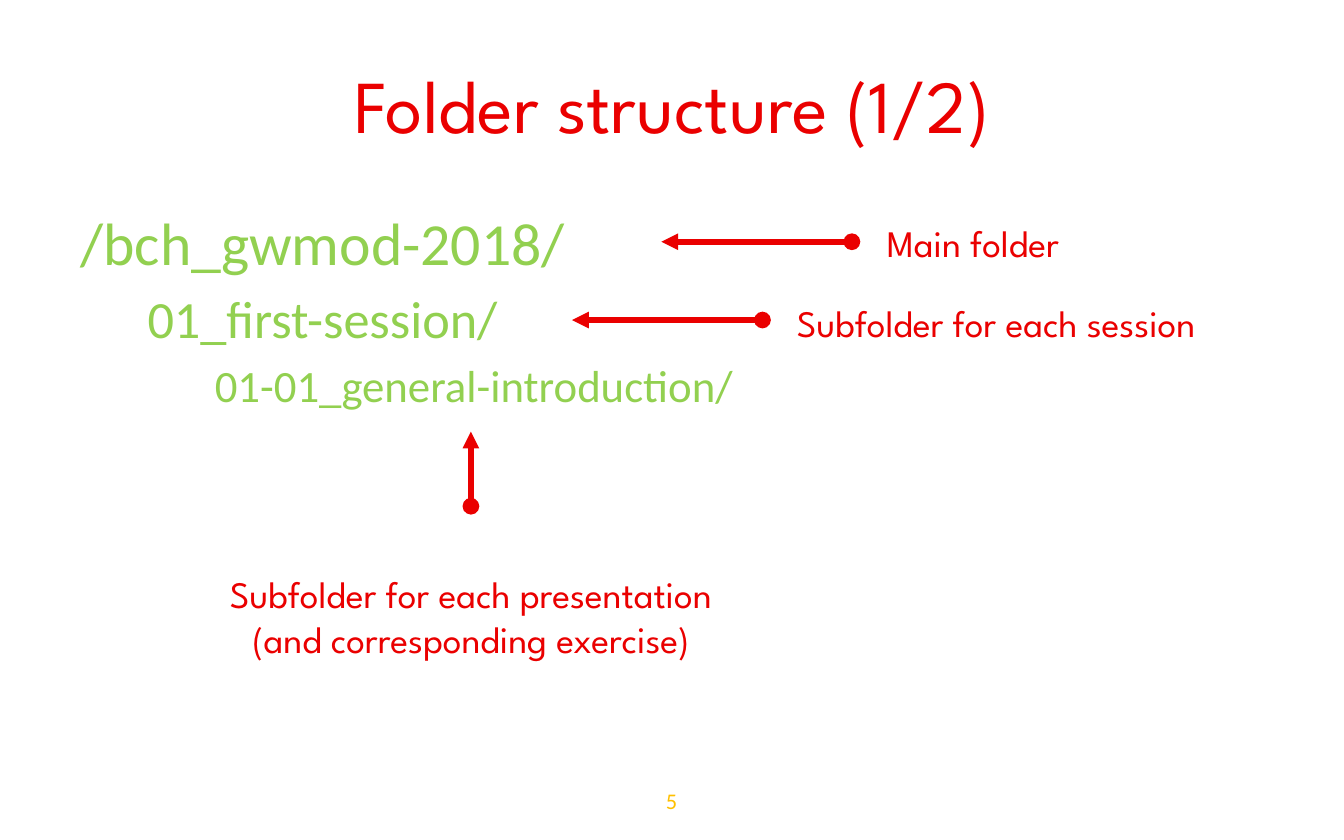
from lxml import etree
from pptx import Presentation, util as u
from pptx.dml.color import RGBColor
from pptx.enum import shapes, text
from pptx.oxml.ns import qn

COLORS = {"red": "EA0000", "green": "92D050", "yellow": "FFC000"}
HEADING_FONT = "League Spartan"
BODY_FONT = "Calibri"
INDENT = 1.27

presentation = Presentation()
presentation.slide_width = u.Cm(25.4)
presentation.slide_height = u.Cm(15.88)
slide = presentation.slides.add_slide(presentation.slide_layouts[6])


def write(frame, content, size, color="red", font=HEADING_FONT, align="LEFT", level=0, before=0):
    paragraph = frame.paragraphs[0] if not frame.text else frame.add_paragraph()
    paragraph.alignment = text.PP_ALIGN[align]
    paragraph.level = level
    paragraph.space_before = u.Pt(before)
    paragraph._p.get_or_add_pPr().set("marL", str(u.Cm(INDENT * level)))
    for number, line in enumerate(content.split("\n")):
        if number:
            paragraph.add_line_break()
        run = paragraph.add_run()
        run.text = line
        run.font.size = u.Pt(size)
        run.font.name = font
        run.font.color.rgb = RGBColor.from_string(COLORS[color])


def add_frame(left, top, width, height, anchor="MIDDLE"):
    box = slide.shapes.add_textbox(u.Cm(left), u.Cm(top), u.Cm(width), u.Cm(height))
    box.text_frame.word_wrap = True
    box.text_frame.vertical_anchor = text.MSO_ANCHOR[anchor]
    return box.text_frame


write(add_frame(1.27, 0.64, 22.86, 2.64), "Folder structure (1/2)", 40, align="CENTER")

folders = add_frame(1.27, 3.71, 22.86, 10.46, anchor="TOP")
folders.margin_top = u.Cm(0.18)
for level, (name, size, before) in enumerate([
    ("/bch_gwmod-2018/", 32, 0),
    ("01_first-session/", 28, 5),
    ("01-01_general-introduction/", 24, 4.5),
]):
    write(folders, name, size, "green", BODY_FONT, level=level, before=before)

write(add_frame(9.73, 14.71, 5.92, 0.84), "5", 12, "yellow", BODY_FONT, "CENTER")

labels = [
    ("Main folder", (16.51, 4.09, 5.21, 1), "LEFT"),
    ("Subfolder for each session", (14.81, 5.59, 9.68, 1), "LEFT"),
    ("Subfolder for each presentation\n(and corresponding exercise)", (3.71, 10.54, 10.39, 2.21), "CENTER"),
]
for label, place, align in labels:
    write(add_frame(*place), label, 20, align=align)

arrows = [(16.1, 4.57, 12.5, 4.57), (14.41, 6.05, 10.81, 6.05), (8.9, 9.57, 8.9, 8.16)]
for ends in arrows:
    arrow = slide.shapes.add_connector(shapes.MSO_CONNECTOR.STRAIGHT, *map(u.Cm, ends))
    arrow.line.width = u.Pt(3)
    arrow.line.color.rgb = RGBColor.from_string(COLORS["red"])
    line = arrow.line._get_or_add_ln()
    etree.SubElement(line, qn("a:headEnd"), type="oval")
    etree.SubElement(line, qn("a:tailEnd"), type="triangle")
    etree.SubElement(arrow._element.spPr, qn("a:effectLst"))

presentation.save("out.pptx")
